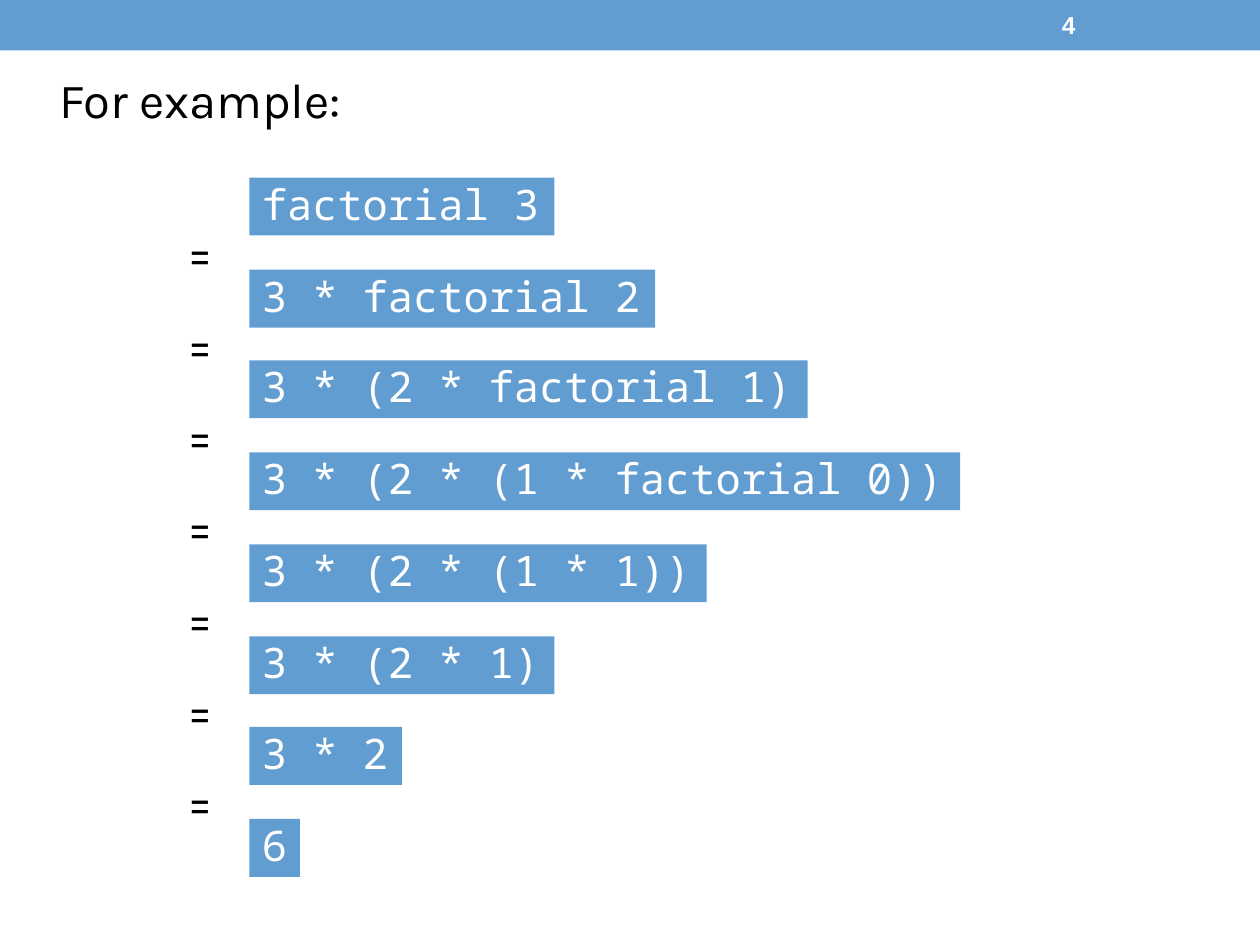
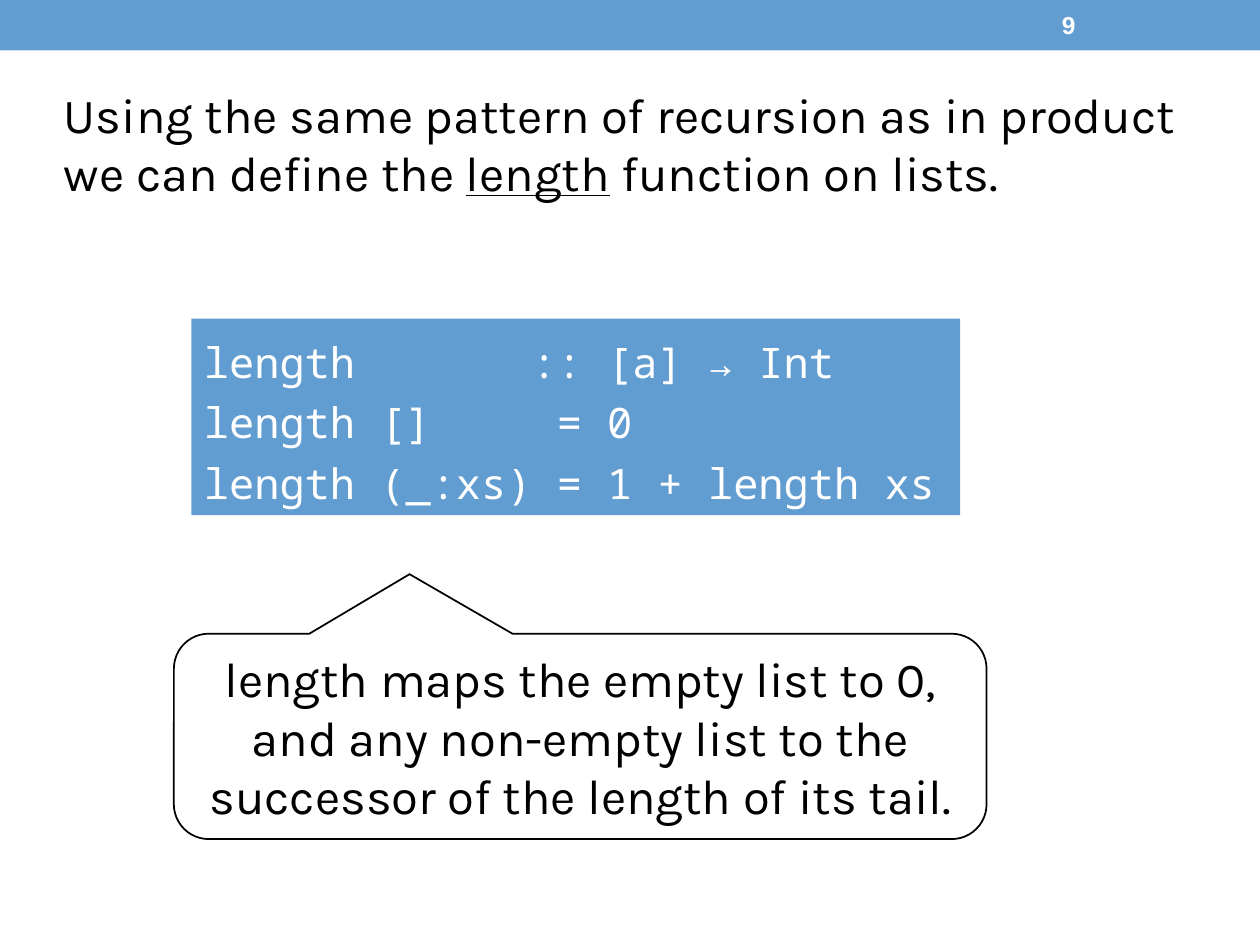
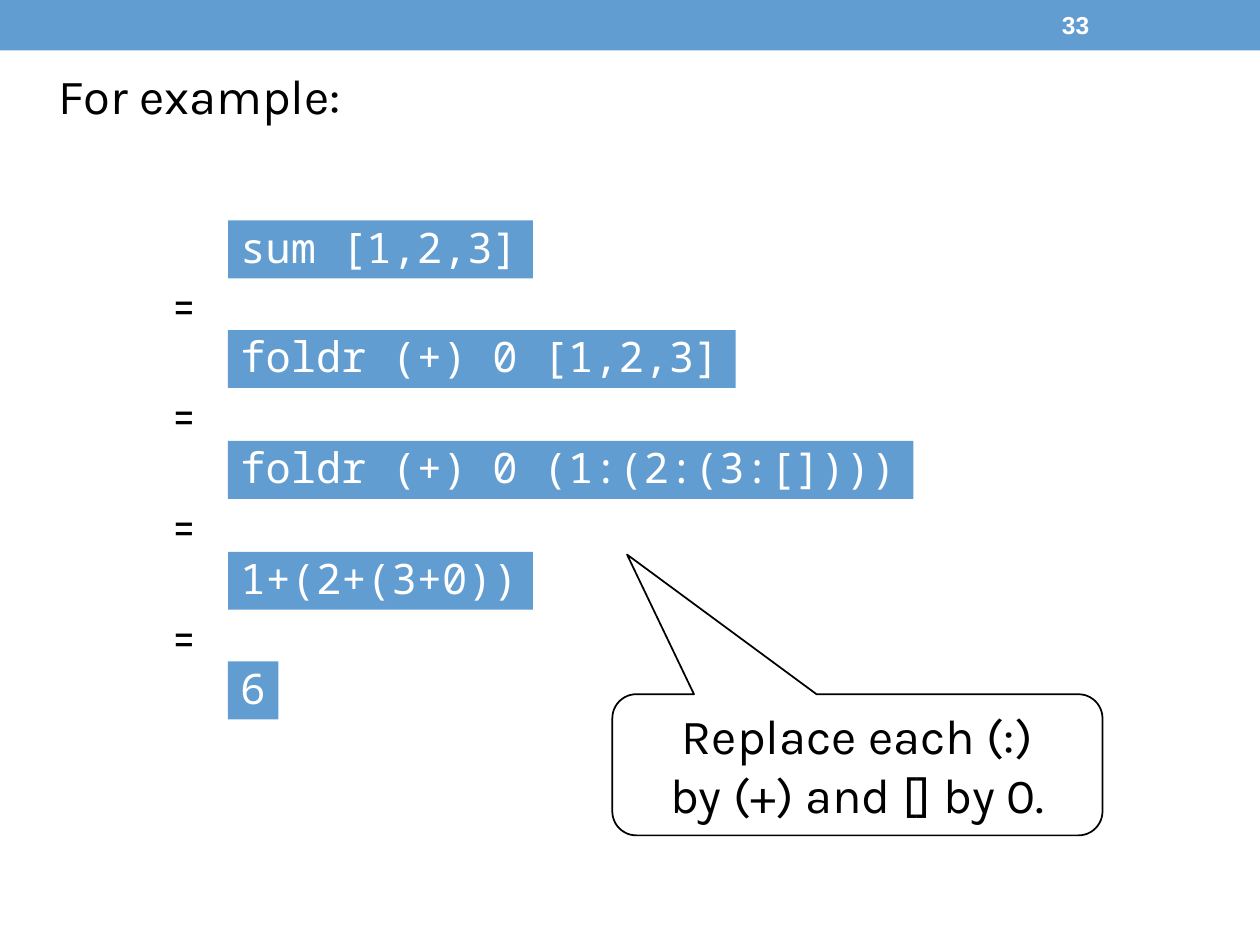
"""Build three slides on recursion, with evaluation steps, code and callouts."""

from dataclasses import dataclass

from pptx import Presentation
from pptx.dml.color import RGBColor
from pptx.enum.shapes import MSO_SHAPE
from pptx.enum.text import MSO_ANCHOR, MSO_AUTO_SIZE, PP_ALIGN
from pptx.util import Emu, Pt

RECTANGLE = MSO_SHAPE.RECTANGLE
CALLOUT = MSO_SHAPE.ROUNDED_RECTANGULAR_CALLOUT
MIDDLE = MSO_ANCHOR.MIDDLE
GROW = MSO_AUTO_SIZE.SHAPE_TO_FIT_TEXT
LEFT, CENTER = PP_ALIGN.LEFT, PP_ALIGN.CENTER

EMU_PER_PX = 9144
SLIDE_WIDTH, SLIDE_HEIGHT = 1000, 750
BLANK_LAYOUT = 6


@dataclass(frozen=True)
class TextStyle:
    """Font, size and colour of a run."""

    font: str
    size: int
    color: RGBColor
    bold: bool = False


@dataclass(frozen=True)
class Theme:
    """Colours and type styles shared by the slides."""

    blue: RGBColor = RGBColor(0x62, 0x9D, 0xD1)
    outline: RGBColor = RGBColor(0, 0, 0)
    body: TextStyle = TextStyle("Karla", 28, RGBColor(0, 0, 0))
    code: TextStyle = TextStyle("Noto Sans Mono", 24, RGBColor(255, 255, 255))
    number: TextStyle = TextStyle("Arial", 14, RGBColor(255, 255, 255), True)


THEME = Theme()


def px(*lengths):
    """Turn px lengths into EMU."""
    return [Emu(length * EMU_PER_PX) for length in lengths]


def spread(first, last, count):
    """Return evenly spaced whole positions from first to last."""
    return [round(first + step * (last - first) / (count - 1)) for step in range(count)]


def write(shape, paragraphs, style, align=LEFT, spacing=1.0, wrap=False, grow=True):
    """Fill a shape with paragraphs, each a list of (text, underlined) runs."""
    frame = shape.text_frame
    frame.word_wrap = wrap
    frame.vertical_anchor = MIDDLE
    if grow:
        frame.auto_size = GROW
    for index, runs in enumerate(paragraphs):
        paragraph = frame.add_paragraph() if index else frame.paragraphs[0]
        paragraph.alignment = align
        paragraph.line_spacing = spacing
        for text, underlined in runs:
            run = paragraph.add_run()
            run.text = text
            run.font.name = style.font
            run.font.size = Pt(style.size)
            run.font.bold = style.bold
            run.font.underline = underlined
            run.font.color.rgb = style.color


def plain(*lines):
    """Make one paragraph of a single plain run for each line."""
    return [[(line, False)] for line in lines]


def add_text(slide, box, paragraphs, style=THEME.body, **options):
    """Add a text box."""
    write(slide.shapes.add_textbox(*px(*box)), paragraphs, style, **options)


def add_block(slide, box):
    """Add a blue rectangle without outline."""
    shape = slide.shapes.add_shape(RECTANGLE, *px(*box))
    shape.shadow.inherit = False
    shape.fill.solid()
    shape.fill.fore_color.rgb = THEME.blue
    shape.line.fill.background()
    return shape


def add_code(slide, box, lines, spacing):
    """Add code on a blue block."""
    write(add_block(slide, box), plain(*lines), THEME.code, spacing=spacing)


def add_callout(slide, box, pointer, lines):
    """Add an outlined speech bubble with its pointer tip at relative offsets."""
    shape = slide.shapes.add_shape(CALLOUT, *px(*box))
    shape.shadow.inherit = False
    shape.fill.background()
    shape.line.color.rgb = THEME.outline
    shape.line.width = Pt(1)
    for index, value in enumerate((*pointer, 0.17)):
        shape.adjustments[index] = value
    write(shape, plain(*lines), THEME.body, align=CENTER, wrap=True)


def add_evaluation(slide, expressions, left, tops, equals_left, equals_tops):
    """Add a column of expressions with an equals sign between neighbours."""
    count = len(expressions)
    for expression, top in zip(expressions, spread(*tops, count)):
        width = round(20 + 20.15 * len(expression))
        add_code(slide, (left, top, width, 46), [expression], spacing=0.9)
    for top in spread(*equals_tops, count - 1):
        add_text(slide, (equals_left, top, 48, 57), plain("="), align=CENTER)


def add_slide(presentation, number):
    """Add a blank slide with the top band and its slide number."""
    slide = presentation.slides.add_slide(presentation.slide_layouts[BLANK_LAYOUT])
    add_block(slide, (0, 0, SLIDE_WIDTH, 40))
    add_text(slide, (833, 2, 117, 36), plain(str(number)), THEME.number, wrap=True, grow=False)
    return slide


def add_factorial_slide(presentation):
    """Add the evaluation of a factorial."""
    slide = add_slide(presentation, 4)
    add_text(slide, (37, 50, 245, 57), plain("For example:"))
    expressions = [
        "factorial 3",
        "3 * factorial 2",
        "3 * (2 * factorial 1)",
        "3 * (2 * (1 * factorial 0))",
        "3 * (2 * (1 * 1))",
        "3 * (2 * 1)",
        "3 * 2",
        "6",
    ]
    add_evaluation(slide, expressions, 198, (141, 650), 135, (171, 606))


def add_length_slide(presentation):
    """Add the definition of length."""
    slide = add_slide(presentation, 9)
    introduction = [
        ("Using the same pattern of recursion as in product we can define the ", False),
        ("length", True),
        (" function on lists.", False),
    ]
    add_text(slide, (41, 62, 904, 103), [introduction], wrap=True)
    definition = [
        "length       :: [a] → Int",
        "length []     = 0",
        "length (_:xs) = 1 + length xs",
    ]
    add_code(slide, (152, 253, 610, 156), definition, spacing=1.2)
    explanation = (
        "length maps the empty list to 0, and any non-empty list "
        "to the successor of the length of its tail."
    )
    add_callout(slide, (138, 503, 645, 163), (-0.21, -0.79), [explanation])


def add_sum_slide(presentation):
    """Add the evaluation of a sum by foldr."""
    slide = add_slide(presentation, 33)
    expressions = [
        "sum [1,2,3]",
        "foldr (+) 0 [1,2,3]",
        "foldr (+) 0 (1:(2:(3:[])))",
        "1+(2+(3+0))",
        "6",
    ]
    add_evaluation(slide, expressions, 181, (175, 525), 122, (210, 474))
    add_text(slide, (37, 47, 886, 57), plain("For example:"), wrap=True)
    replacement = ["Replace each (:)", "by (+) and [] by 0."]
    add_callout(slide, (486, 551, 389, 112), (-0.47, -1.49), replacement)


def main():
    """Build and save the presentation."""
    presentation = Presentation()
    presentation.slide_width, presentation.slide_height = px(SLIDE_WIDTH, SLIDE_HEIGHT)
    add_factorial_slide(presentation)
    add_length_slide(presentation)
    add_sum_slide(presentation)
    presentation.save("out.pptx")


if __name__ == "__main__":
    main()
